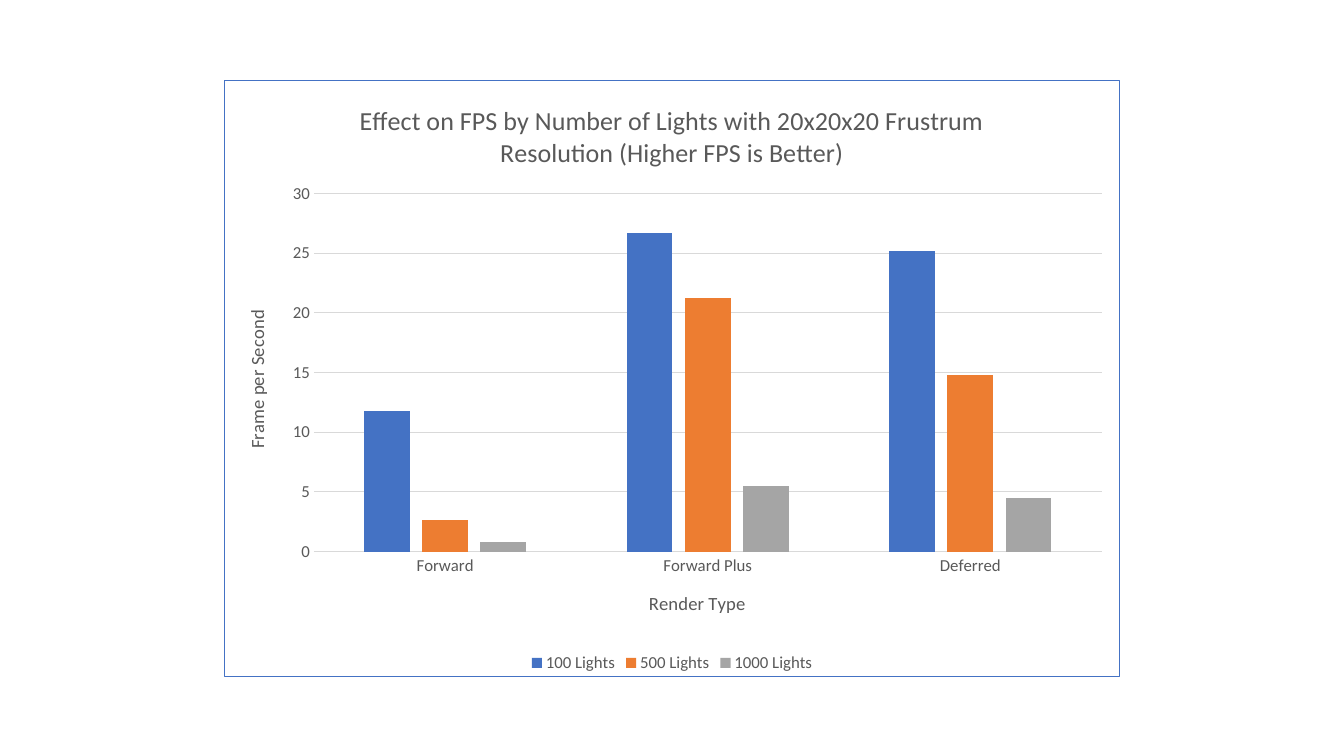
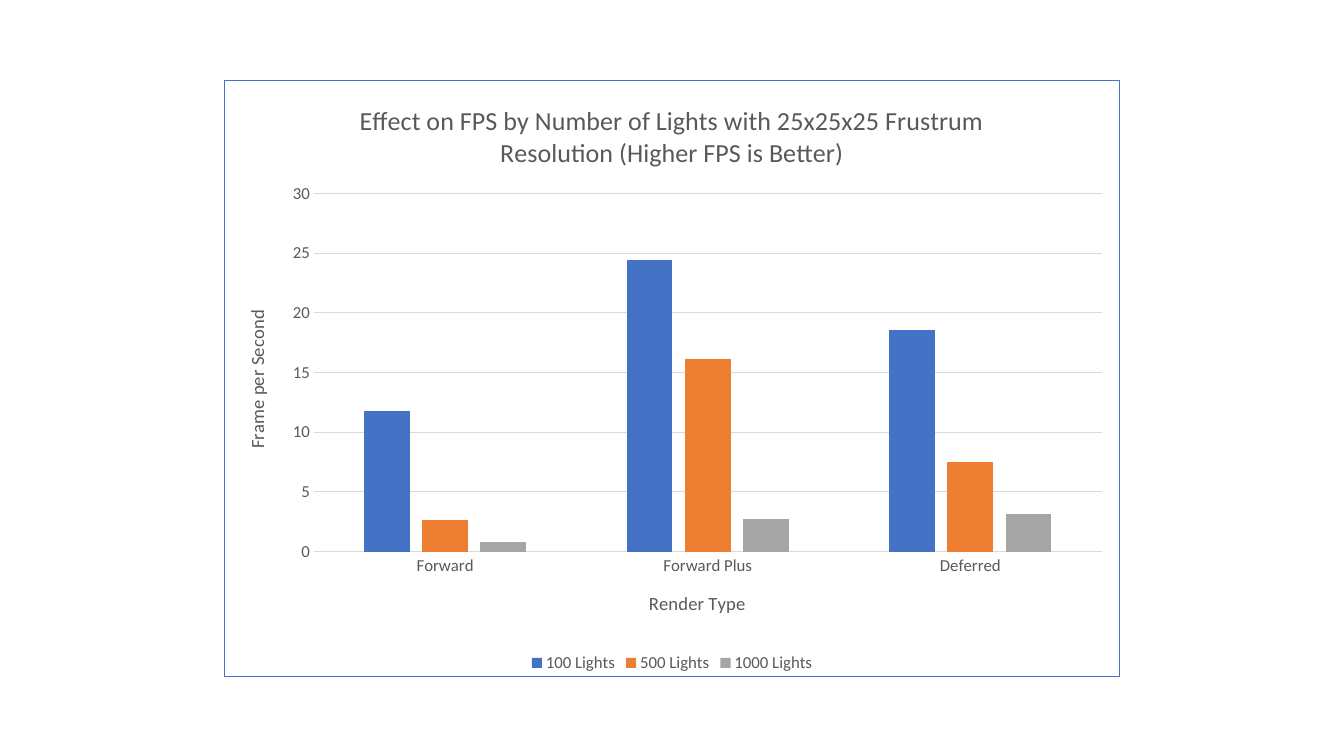
"""Two slides comparing frame rates of render types by number of lights."""
from dataclasses import dataclass

import pptx
import pptx.chart.axis
import pptx.chart.chart
import pptx.chart.data
import pptx.dml.color
import pptx.enum.chart
import pptx.oxml
import pptx.oxml.ns
import pptx.presentation
import pptx.text.text
import pptx.util

Inches = pptx.util.Inches
Pt = pptx.util.Pt
RGBColor = pptx.dml.color.RGBColor
qn = pptx.oxml.ns.qn

FONT = "Calibri"
BLUE = RGBColor(0x44, 0x72, 0xC4)
ORANGE = RGBColor(0xED, 0x7D, 0x31)
GRAY = RGBColor(0xA5, 0xA5, 0xA5)
TEXT_GRAY = RGBColor(0x59, 0x59, 0x59)
GRID_GRAY = RGBColor(0xD9, 0xD9, 0xD9)
LINE_WIDTH = Pt(0.75)

RENDER_TYPES = ("Forward", "Forward Plus", "Deferred")
LIGHT_COLORS = {100: BLUE, 500: ORANGE, 1000: GRAY}
PLOT_AREA = {"x": 0.1, "y": 0.19, "w": 0.88, "h": 0.6}


@dataclass(frozen=True)
class Benchmark:
    """Frame rates per number of lights at one frustum resolution."""

    resolution: str
    frame_rates: dict[int, tuple[float, ...]]


BENCHMARKS = (
    Benchmark("20x20x20", {
        100: (11.8, 26.7, 25.2),
        500: (2.6, 21.2, 14.8),
        1000: (0.8, 5.5, 4.5),
    }),
    Benchmark("25x25x25", {
        100: (11.8, 24.4, 18.6),
        500: (2.6, 16.1, 7.5),
        1000: (0.8, 2.7, 3.1),
    }),
)


def style_font(font: pptx.text.text.Font, size: float) -> None:
    """Apply the shared chart text style."""
    font.name = FONT
    font.size = Pt(size)
    font.bold = False
    font.color.rgb = TEXT_GRAY


def set_title(titled: pptx.chart.chart.Chart | pptx.chart.axis._BaseAxis,
              wording: str, size: float) -> None:
    """Give a chart or an axis its title."""
    titled.has_title = True
    heading = titled.chart_title if hasattr(titled, "chart_title") else titled.axis_title
    heading.text_frame.text = wording
    style_font(heading.text_frame.paragraphs[0].font, size)


def style_axis(axis: pptx.chart.axis._BaseAxis, wording: str) -> None:
    """Set the title, labels and tick marks of an axis."""
    set_title(axis, wording, 13.3)
    style_font(axis.tick_labels.font, 12)
    axis.major_tick_mark = pptx.enum.chart.XL_TICK_MARK.NONE
    axis.minor_tick_mark = pptx.enum.chart.XL_TICK_MARK.NONE


def add_border(chart: pptx.chart.chart.Chart) -> None:
    """Outline the whole chart."""
    namespaces = pptx.oxml.ns.nsdecls("c", "a")
    border = pptx.oxml.parse_xml(
        f'<c:spPr {namespaces}><a:noFill/><a:ln w="{int(LINE_WIDTH)}"><a:solidFill>'
        f'<a:srgbClr val="{BLUE}"/></a:solidFill></a:ln></c:spPr>')
    chart.element.find(qn("c:chart")).addnext(border)


def place_plot(chart: pptx.chart.chart.Chart) -> None:
    """Fix the inner plot area as fractions of the chart."""
    plot_area = chart.element.find(qn("c:chart")).find(qn("c:plotArea"))
    for automatic in plot_area.findall(qn("c:layout")):
        plot_area.remove(automatic)
    modes = "".join(f'<c:{side}Mode val="edge"/>' for side in "xy")
    extents = "".join(f'<c:{key} val="{share}"/>' for key, share in PLOT_AREA.items())
    plot_area.insert(0, pptx.oxml.parse_xml(
        f'<c:layout {pptx.oxml.ns.nsdecls("c")}><c:manualLayout>'
        f'<c:layoutTarget val="inner"/>{modes}{extents}</c:manualLayout></c:layout>'))


def add_benchmark_slide(deck: pptx.presentation.Presentation, benchmark: Benchmark) -> None:
    """Add one slide with the column chart of a benchmark."""
    slide = deck.slides.add_slide(deck.slide_layouts[6])
    rates = pptx.chart.data.CategoryChartData()
    rates.categories = RENDER_TYPES
    for lights, values in benchmark.frame_rates.items():
        rates.add_series(f"{lights} Lights", values)
    chart = slide.shapes.add_chart(
        pptx.enum.chart.XL_CHART_TYPE.COLUMN_CLUSTERED,
        Inches(2.22), Inches(0.79), Inches(8.89), Inches(5.93), rates).chart
    chart.font.name = FONT
    chart.font.size = Pt(10)
    set_title(chart, f"Effect on FPS by Number of Lights with {benchmark.resolution} "
                     "Frustrum Resolution (Higher FPS is Better)", 18.6)

    columns = chart.plots[0]
    columns.gap_width = 219
    columns.overlap = -27
    columns.vary_by_categories = False
    for series, color in zip(columns.series, LIGHT_COLORS.values()):
        series.format.fill.solid()
        series.format.fill.fore_color.rgb = color
        series.invert_if_negative = False

    render_axis, rate_axis = chart.category_axis, chart.value_axis
    style_axis(render_axis, "Render Type")
    style_axis(rate_axis, "Frame per Second")
    rate_axis.minimum_scale = 0
    rate_axis.maximum_scale = 30
    rate_axis.major_unit = 5
    rate_axis.format.line.fill.background()
    for line in (render_axis.format.line, rate_axis.major_gridlines.format.line):
        line.color.rgb = GRID_GRAY
        line.width = LINE_WIDTH

    chart.has_legend = True
    chart.legend.position = pptx.enum.chart.XL_LEGEND_POSITION.BOTTOM
    chart.legend.include_in_layout = False
    style_font(chart.legend.font, 12)
    place_plot(chart)
    add_border(chart)


def main() -> None:
    """Build and save the deck."""
    deck = pptx.Presentation()
    deck.slide_width = Inches(13.33)
    deck.slide_height = Inches(7.5)
    for benchmark in BENCHMARKS:
        add_benchmark_slide(deck, benchmark)
    deck.save("out.pptx")


main()
